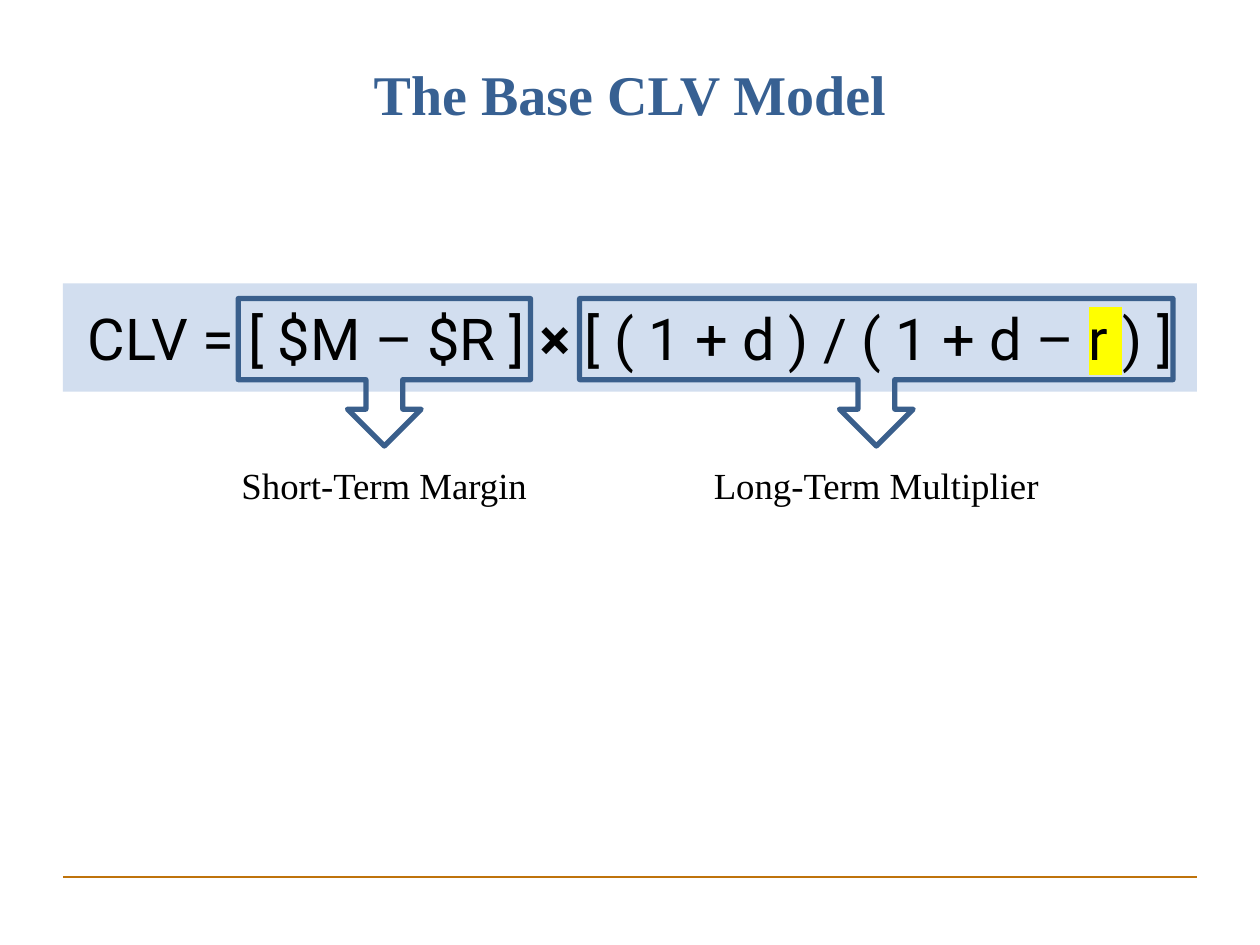
"""Build the slide that explains the base CLV model."""
from dataclasses import dataclass

import lxml.etree
import pptx
import pptx.dml.color
import pptx.enum.shapes
import pptx.enum.text
import pptx.oxml.ns
import pptx.util

Inches = pptx.util.Inches
SHAPE = pptx.enum.shapes.MSO_SHAPE
MIDDLE = pptx.enum.text.MSO_ANCHOR.MIDDLE
CENTER = pptx.enum.text.PP_ALIGN.CENTER
WIDTH, HEIGHT = 10, 7.5
MARGIN = 0.05 * WIDTH
CONTENT = WIDTH - 2 * MARGIN


@dataclass(frozen=True)
class Theme:
    """Fonts, type sizes in points and colours of the slide."""
    serif: str = "Times New Roman"
    sans: str = "Roboto"
    title_size: int = 32
    formula_size: int = 33
    label_size: int = 21
    title: str = "376092"
    text: str = "000000"
    band: str = "D2DEEF"
    outline: str = "3A5F8C"
    rule: str = "BF730B"
    highlight: str = "FFFF00"


THEME = Theme()


def rgb(code):
    """Return the colour for a hex code."""
    return pptx.dml.color.RGBColor.from_string(code)


def box(left, top, width, height):
    """Convert inches to a position and size."""
    return [Inches(v) for v in (left, top, width, height)]


def style(r, font, size, color, bold=False):
    """Format one run."""
    r.font.name, r.font.size, r.font.bold = font, pptx.util.Pt(size), bold
    r.font.color.rgb = rgb(color)


def highlight(r, color):
    """Put a marker colour behind one run."""
    qn = pptx.oxml.ns.qn
    mark = lxml.etree.Element(qn("a:highlight"))
    lxml.etree.SubElement(mark, qn("a:srgbClr"), val=color)
    r.font._element.find(qn("a:solidFill")).addnext(mark)


def add_title(s, text):
    """Fill the title placeholder."""
    sp = s.shapes.title
    sp.left, sp.top, sp.width, sp.height = box(MARGIN, 0.3, CONTENT, 0.88)
    tf = sp.text_frame
    tf.text, tf.vertical_anchor = text, MIDDLE
    p = tf.paragraphs[0]
    p.alignment = CENTER
    style(p.runs[0], THEME.serif, THEME.title_size, THEME.title, True)


def add_rule(s, y):
    """Draw the thin line at the foot of the slide."""
    line = s.shapes.add_connector(
        pptx.enum.shapes.MSO_CONNECTOR.STRAIGHT,
        Inches(MARGIN), Inches(y), Inches(WIDTH - MARGIN), Inches(y))
    line.line.color.rgb, line.line.width = rgb(THEME.rule), pptx.util.Pt(0.75)
    lxml.etree.SubElement(line._element.spPr, pptx.oxml.ns.qn("a:effectLst"))


def add_formula(s, parts):
    """Draw the formula band from (text, bold, marked) parts."""
    sp = s.shapes.add_shape(SHAPE.RECTANGLE, *box(MARGIN, 0.3 * HEIGHT, CONTENT, 0.86))
    sp.shadow.inherit = False
    sp.fill.solid()
    sp.fill.fore_color.rgb = rgb(THEME.band)
    sp.line.fill.background()
    tf = sp.text_frame
    tf.margin_left = tf.margin_right = tf.margin_top = tf.margin_bottom = Inches(0.15)
    tf.vertical_anchor = MIDDLE
    p = tf.paragraphs[0]
    p.alignment = CENTER
    for text, bold, marked in parts:
        r = p.add_run()
        r.text = text
        style(r, THEME.sans, THEME.formula_size, THEME.text, bold)
        if marked:
            highlight(r, THEME.highlight)


def add_callout(s, left, width):
    """Draw an outlined frame with an arrow pointing down."""
    sp = s.shapes.add_shape(SHAPE.DOWN_ARROW_CALLOUT, *box(left, 2.37, width, 1.17))
    for i, value in enumerate((0.25, 0.25, 0.25, 0.55)):
        sp.adjustments[i] = value
    sp.shadow.inherit = False
    sp.fill.background()
    sp.line.color.rgb, sp.line.width = rgb(THEME.outline), pptx.util.Pt(3)


def add_label(s, center, text):
    """Write a label centred below an arrow."""
    width = 3
    tf = s.shapes.add_textbox(*box(center - width / 2, 3.62, width, 0.45)).text_frame
    tf.word_wrap = True
    tf.text = text
    p = tf.paragraphs[0]
    p.alignment = CENTER
    style(p.runs[0], THEME.serif, THEME.label_size, THEME.text)


def main():
    """Build and save the slide."""
    prs = pptx.Presentation()
    prs.slide_width, prs.slide_height = Inches(WIDTH), Inches(HEIGHT)
    s = prs.slides.add_slide(prs.slide_layouts.get_by_name("Title Only"))
    add_rule(s, 6.96)
    add_title(s, "The Base CLV Model")
    add_formula(s, [
        ("CLV = [ $M – $R ] ", False, False),
        ("× ", True, False),
        ("[ ( 1 + d ) / ( 1 + d – ", False, False),
        ("r ", False, True),
        (") ]", False, False),
    ])
    for left, width, text in ((1.89, 2.32, "Short-Term Margin"),
                              (4.6, 4.71, "Long-Term Multiplier")):
        add_label(s, left + width / 2, text)
        add_callout(s, left, width)
    prs.save("out.pptx")


if __name__ == "__main__":
    main()
